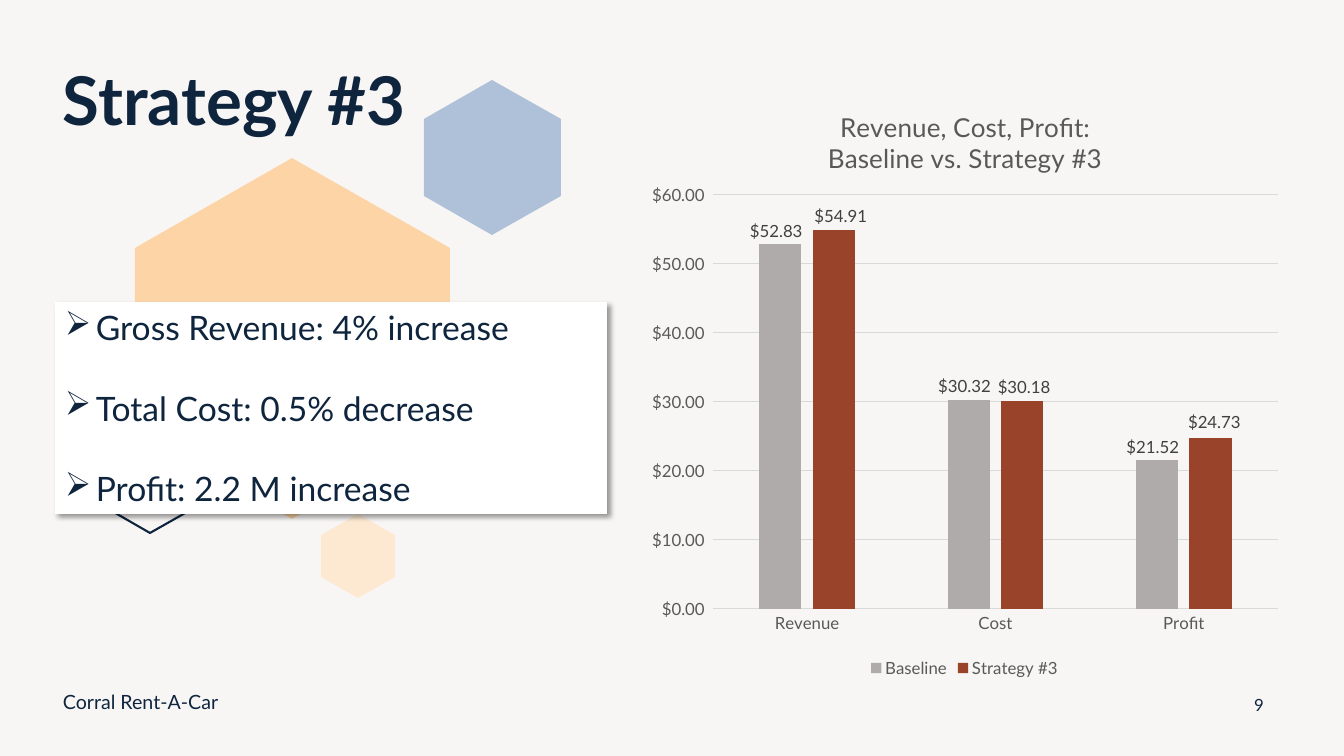
from dataclasses import dataclass

from pptx import Presentation
from pptx.chart.data import CategoryChartData
from pptx.dml.color import RGBColor
from pptx.enum.chart import XL_CHART_TYPE, XL_LABEL_POSITION, XL_LEGEND_POSITION, XL_TICK_MARK
from pptx.enum.shapes import MSO_SHAPE
from pptx.enum.text import MSO_ANCHOR, PP_ALIGN
from pptx.oxml import parse_xml
from pptx.oxml.ns import nsdecls
from pptx.util import Emu, Pt

COLUMNS = XL_CHART_TYPE.COLUMN_CLUSTERED
ABOVE_BAR = XL_LABEL_POSITION.OUTSIDE_END
LEGEND_BELOW = XL_LEGEND_POSITION.BOTTOM
NO_TICKS = XL_TICK_MARK.NONE
RECTANGLE = MSO_SHAPE.RECTANGLE
TOP, MIDDLE, BOTTOM = MSO_ANCHOR.TOP, MSO_ANCHOR.MIDDLE, MSO_ANCHOR.BOTTOM
LEFT, CENTER = PP_ALIGN.LEFT, PP_ALIGN.CENTER

SLIDE_WIDTH, SLIDE_HEIGHT = 1344, 756
EMU_PER_PX = 12192000 / SLIDE_WIDTH
DOLLARS = '"$"#,##0.00_);[Red]\\("$"#,##0.00\\)'


@dataclass(frozen=True)
class Theme:
    """Colours, font and type sizes of the slide."""

    font: str = "Lato"
    background: str = "F8F6F5"
    navy: str = "0F253E"
    blue: str = "AEC1D8"
    orange: str = "FCD4A6"
    peach: str = "FDE9D2"
    white: str = "FFFFFF"
    axis_text: str = "595959"
    label_text: str = "404040"
    grid: str = "D9D9D9"
    baseline: str = "AFABAB"
    strategy: str = "98432A"
    title_size: float = 48
    body_size: float = 24
    chart_title_size: float = 18.6
    footer_size: float = 14
    small_size: float = 12


THEME = Theme()


def px(length):
    """Turn pixels into EMU."""
    return Emu(round(length * EMU_PER_PX))


def rgb(color):
    """Turn a hex string into a colour."""
    return RGBColor.from_string(color)


def style_font(font, size, color, bold=False):
    """Give a font the theme face with a size, colour and weight."""
    font.name = THEME.font
    font.size = Pt(size)
    font.bold = bold
    font.color.rgb = rgb(color)


def paint(format_holder, color):
    """Fill a bar or shape with one colour."""
    format_holder.fill.solid()
    format_holder.fill.fore_color.rgb = rgb(color)


def add_label(slide, box, text, size, anchor=TOP, align=LEFT, bold=False):
    """Place one line of navy text in a box."""
    frame = slide.shapes.add_textbox(*map(px, box)).text_frame
    frame.word_wrap = True
    frame.vertical_anchor = anchor
    frame.text = text
    line = frame.paragraphs[0]
    line.alignment = align
    style_font(line.runs[0].font, size, THEME.navy, bold)
    return line


def add_hexagon(slide, box, fill=None, outline=None):
    """Draw an upright hexagon filling a box."""
    left, top, width, height = box
    right, middle = left + width, left + width / 2
    upper, lower = top + height / 4, top + height * 3 / 4
    builder = slide.shapes.build_freeform(middle, top, scale=EMU_PER_PX)
    builder.add_line_segments(
        [(right, upper), (right, lower), (middle, top + height), (left, lower), (left, upper)]
    )
    hexagon = builder.convert_to_shape()
    hexagon.shadow.inherit = False
    if fill:
        paint(hexagon, fill)
    else:
        hexagon.fill.background()
    if outline:
        hexagon.line.color.rgb = rgb(outline)
        hexagon.line.width = Pt(1.5)
    else:
        hexagon.line.fill.background()


def add_hexagons(slide, box):
    """Scatter the decorative hexagons from a box's corner."""
    left, top = box[:2]
    for x, y, width, height, fill, outline in (
        (340, 0, 137, 155, THEME.blue, None),
        (51, 78, 315, 361, THEME.orange, None),
        (0, 301, 133, 152, None, THEME.navy),
        (237, 434, 74, 84, THEME.peach, None),
    ):
        add_hexagon(slide, (left + x, top + y, width, height), fill, outline)


def add_findings(slide, box, findings):
    """Place the white card with its bulleted findings."""
    card = slide.shapes.add_shape(RECTANGLE, *map(px, box))
    paint(card, THEME.white)
    card.line.fill.background()
    card.shadow.inherit = False
    effects = card.element.spPr.find("{*}effectLst")
    effects.append(parse_xml(
        f'<a:outerShdw {nsdecls("a")} blurRad="50800" dist="38100" dir="2700000" algn="tl" '
        'rotWithShape="0"><a:srgbClr val="000000"><a:alpha val="40000"/></a:srgbClr></a:outerShdw>'
    ))
    frame = card.text_frame
    frame.word_wrap = True
    frame.vertical_anchor = TOP
    for index, finding in enumerate(findings):
        item = frame.add_paragraph() if index else frame.paragraphs[0]
        item.text = finding
        item.alignment = LEFT
        if index:
            item.space_before = Pt(THEME.body_size * 1.2)
        properties = item._p.get_or_add_pPr()
        properties.set("marL", str(px(31)))
        properties.set("indent", str(-px(31)))
        properties.append(parse_xml(f'<a:buChar {nsdecls("a")} char="➢"/>'))
        style_font(item.runs[0].font, THEME.body_size, THEME.navy)


def set_layout(parent, index, target="", **fractions):
    """Give a chart part a manual layout in fractions of the chart."""
    for old in parent.findall("{*}layout"):
        parent.remove(old)
    modes = "".join(f'<c:{axis}Mode val="edge"/>' for axis in "xy") if target != "offset" else ""
    inner = '<c:layoutTarget val="inner"/>' if target == "inner" else ""
    values = "".join(f'<c:{key} val="{value:.4f}"/>' for key, value in fractions.items())
    parent.insert(index, parse_xml(
        f'<c:layout {nsdecls("c")}><c:manualLayout>{inner}{modes}{values}</c:manualLayout></c:layout>'
    ))


def style_series(series, color, nudges, width, height):
    """Colour a series and label its bars, moved by pixel nudges."""
    paint(series.format, color)
    series.invert_if_negative = False
    for index in range(len(nudges)):
        label = series.points[index].data_label
        style_font(label.font, THEME.small_size, THEME.label_text)
        label.position = ABOVE_BAR
    for element, (x, y) in zip(series._element.xpath(".//c:dLbl"), nudges):
        set_layout(element, 1, "offset", x=x / width, y=y / height)
        number_format = parse_xml(f'<c:numFmt {nsdecls("c")} sourceLinked="0"/>')
        number_format.set("formatCode", DOLLARS)
        element.insert(2, number_format)


def style_axes(chart):
    """Style the category and dollar axes."""
    for axis in (chart.category_axis, chart.value_axis):
        axis.major_tick_mark = axis.minor_tick_mark = NO_TICKS
        style_font(axis.tick_labels.font, THEME.small_size, THEME.axis_text)
    months = chart.category_axis.format.line
    dollars = chart.value_axis
    dollars.minimum_scale, dollars.maximum_scale, dollars.major_unit = 0, 60, 10
    dollars.tick_labels.number_format = DOLLARS
    dollars.tick_labels.number_format_is_linked = False
    dollars.format.line.fill.background()
    for line in (months, dollars.major_gridlines.format.line):
        line.color.rgb = rgb(THEME.grid)
        line.width = Pt(0.75)


def add_comparison_chart(slide, box):
    """Place the column chart of baseline against strategy."""
    width, height = box[2:]
    data = CategoryChartData(number_format=DOLLARS)
    data.categories = ["Revenue", "Cost", "Profit"]
    data.add_series("Baseline", (52.83, 30.32, 21.52))
    data.add_series("Strategy #3", (54.91, 30.18, 24.73))
    chart = slide.shapes.add_chart(COLUMNS, *map(px, box), data).chart
    style_font(chart.font, THEME.small_size, THEME.axis_text)
    chart.has_title = True
    heading = chart.chart_title.text_frame
    heading.text = "Revenue, Cost, Profit:\nBaseline vs. Strategy #3"
    for line in heading.paragraphs:
        style_font(line.runs[0].font, THEME.chart_title_size, THEME.axis_text)
    set_layout(chart.element.xpath(".//c:title")[0], 1, x=186 / width, y=22 / height)
    set_layout(chart.element.xpath(".//c:plotArea")[0], 0, "inner",
               x=74 / width, y=111 / height, w=565 / width, h=414 / height)
    chart.has_legend = True
    chart.legend.position = LEGEND_BELOW
    chart.legend.include_in_layout = False
    style_font(chart.legend.font, THEME.small_size, THEME.axis_text)
    style_axes(chart)
    plot = chart.plots[0]
    plot.gap_width, plot.overlap, plot.vary_by_categories = 219, -27, False
    baseline, strategy = plot.series
    style_series(baseline, THEME.baseline, [(-2, 0)] * 3, width, height)
    style_series(strategy, THEME.strategy, [(9, 0), (4, 0), (6, -3)], width, height)


def build_strategy_slide(deck):
    """Compose the strategy slide."""
    slide = deck.slides.add_slide(deck.slide_layouts[6])
    paint(slide.background, THEME.background)
    add_hexagons(slide, (84, 80, 477, 518))
    title = add_label(slide, (53, 22, 617, 123), "Strategy #3", THEME.title_size, BOTTOM, bold=True)
    title.line_spacing = 0.9
    add_findings(slide, (55, 302, 552, 212), (
        "Gross Revenue: 4% increase", "Total Cost: 0.5% decrease", "Profit: 2.2 M increase"))
    add_comparison_chart(slide, (639, 84, 651, 598))
    add_label(slide, (53, 685, 454, 40), "Corral Rent-A-Car", THEME.footer_size)
    add_label(slide, (1234, 685, 50, 40), "9", THEME.small_size, MIDDLE, CENTER)


def main():
    """Build and save the deck."""
    deck = Presentation()
    deck.slide_width, deck.slide_height = px(SLIDE_WIDTH), px(SLIDE_HEIGHT)
    build_strategy_slide(deck)
    deck.save("out.pptx")


if __name__ == "__main__":
    main()
